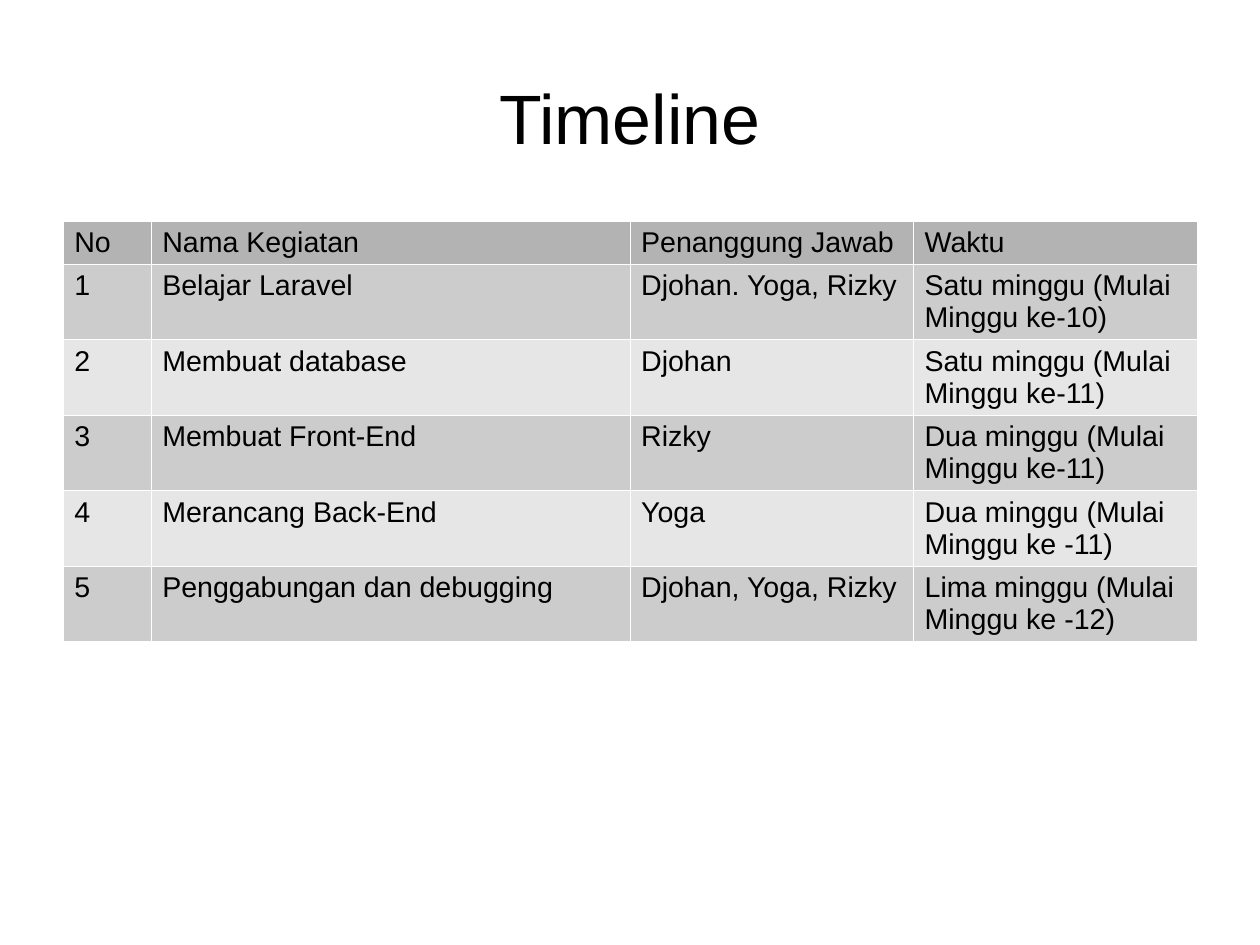
from lxml import etree
from pptx import Presentation
from pptx.dml.color import RGBColor
from pptx.enum import text
from pptx.oxml import ns
from pptx.util import Inches, Pt

BLACK = RGBColor(0x00, 0x00, 0x00)
WHITE = RGBColor(0xFF, 0xFF, 0xFF)
HEADER_GREY = RGBColor(0xB3, 0xB3, 0xB3)
BAND_GREYS = (RGBColor(0xCC, 0xCC, 0xCC), RGBColor(0xE6, 0xE6, 0xE6))

# The slide measures 28 by 21 cm
CM_PER_INCH = 2.54
SLIDE_WIDTH, SLIDE_HEIGHT = Inches(28 / CM_PER_INCH), Inches(21 / CM_PER_INCH)

LEFT, WIDTH = Inches(0.55), Inches(9.92)
ROW_HEIGHT = Inches(0.37)
COLUMN_WIDTHS = (0.77, 4.19, 2.48, 2.48)
BORDER_WIDTH = Pt(0.06)

HEADINGS = ("No", "Nama Kegiatan", "Penanggung Jawab", "Waktu")
ACTIVITIES = (
    ("Belajar Laravel", "Djohan. Yoga, Rizky", "Satu minggu (Mulai Minggu ke-10)"),
    ("Membuat database", "Djohan", "Satu minggu (Mulai Minggu ke-11)"),
    ("Membuat Front-End", "Rizky", "Dua minggu (Mulai Minggu ke-11)"),
    ("Merancang Back-End", "Yoga", "Dua minggu (Mulai Minggu ke -11)"),
    ("Penggabungan dan debugging", "Djohan, Yoga, Rizky",
     "Lima minggu (Mulai Minggu ke -12)"),
)


def write(paragraph, wording, size):
    run = paragraph.add_run()
    run.text = wording
    for attribute, value in {"name": "Arial", "size": Pt(size), "bold": False}.items():
        setattr(run.font, attribute, value)
    run.font.color.rgb = BLACK


def add_title(slide, wording):
    title = slide.shapes.title
    place = {"left": LEFT, "top": Inches(0.33), "width": WIDTH, "height": Inches(1.38)}
    for attribute, value in place.items():
        setattr(title, attribute, value)
    frame = title.text_frame
    layout = {"margin_left": 0, "margin_top": 0, "margin_right": 0, "margin_bottom": 0,
              "vertical_anchor": text.MSO_ANCHOR.MIDDLE, "word_wrap": True}
    for attribute, value in layout.items():
        setattr(frame, attribute, value)
    frame.paragraphs[0].alignment = text.PP_ALIGN.CENTER
    write(frame.paragraphs[0], wording, 44)


def add_borders(cell):
    properties = cell._tc.get_or_add_tcPr()
    for side in ("a:lnL", "a:lnR", "a:lnT", "a:lnB"):
        line = etree.SubElement(properties, ns.qn(side), w=str(BORDER_WIDTH))
        fill = etree.SubElement(line, ns.qn("a:solidFill"))
        etree.SubElement(fill, ns.qn("a:srgbClr"), val=str(WHITE))


def format_cell(cell, wording, colour):
    add_borders(cell)
    cell.fill.solid()
    cell.fill.fore_color.rgb = colour
    write(cell.text_frame.paragraphs[0], wording, 18)


def add_schedule(slide):
    rows = [HEADINGS]
    rows += [(str(number), *activity) for number, activity in enumerate(ACTIVITIES, 1)]
    schedule = slide.shapes.add_table(
        len(rows), len(HEADINGS), LEFT, Inches(1.93), WIDTH, ROW_HEIGHT * len(rows)).table
    for column, width in zip(schedule.columns, COLUMN_WIDTHS):
        column.width = Inches(width)
    # Header row, then alternating bands
    for index, wordings in enumerate(rows):
        colour = BAND_GREYS[(index - 1) % 2] if index else HEADER_GREY
        for cell, wording in zip(schedule.rows[index].cells, wordings):
            format_cell(cell, wording, colour)


def main():
    presentation = Presentation()
    presentation.slide_width = SLIDE_WIDTH
    presentation.slide_height = SLIDE_HEIGHT
    title_only = presentation.slide_layouts[5]
    slide = presentation.slides.add_slide(title_only)
    slide.background.fill.solid()
    slide.background.fill.fore_color.rgb = WHITE
    add_title(slide, "Timeline")
    add_schedule(slide)
    presentation.save("out.pptx")


if __name__ == "__main__":
    main()
